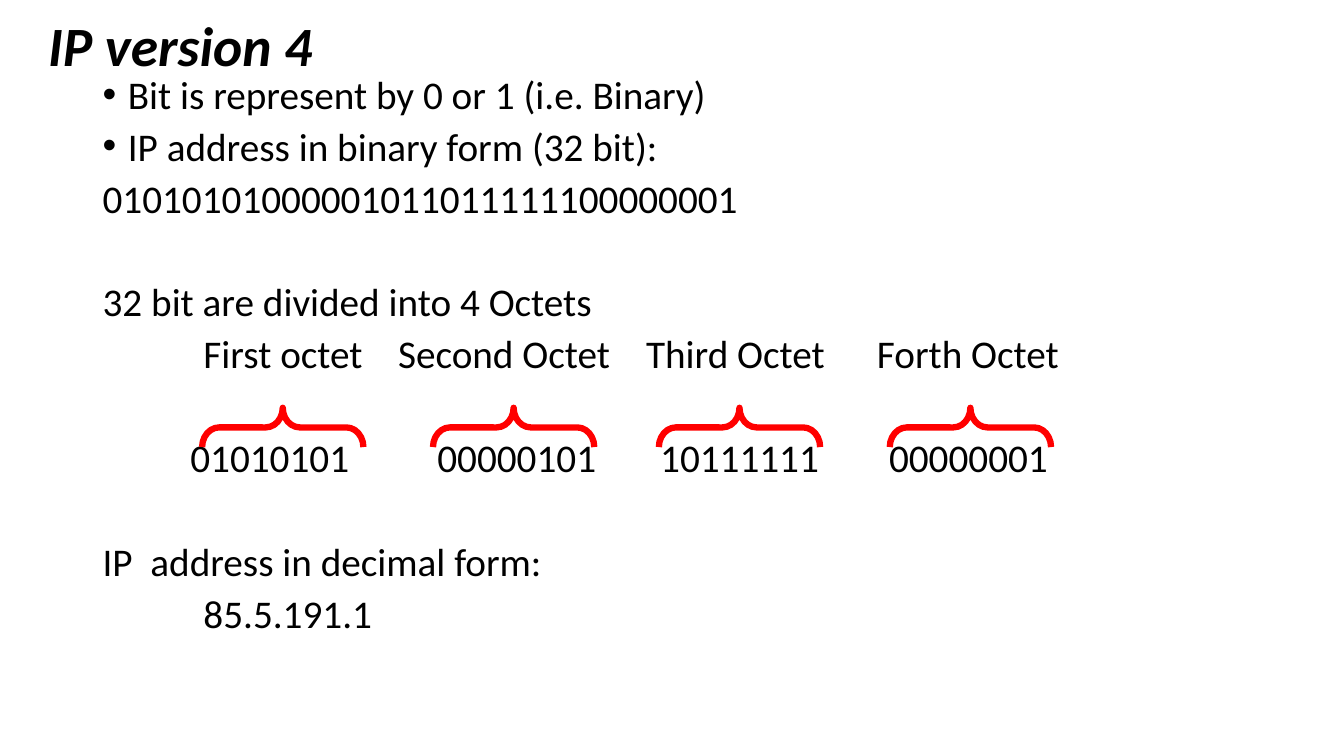
from lxml import etree
from pptx import Presentation
from pptx.dml.color import RGBColor
from pptx.enum.shapes import MSO_SHAPE
from pptx.enum.text import MSO_ANCHOR
from pptx.oxml.ns import qn
from pptx.util import Inches, Pt

BRACE = MSO_SHAPE.RIGHT_BRACE
MIDDLE = MSO_ANCHOR.MIDDLE
FONT = "Calibri"
BLACK = "000000"
RED = "FF0000"
LINE_GAP = 10
SECTION_GAP = 47.3  # one empty line more than LINE_GAP

NAME_STOPS = (1, 2.93, 5.39, 7.68)
BIT_STOPS = (0.87, 3.32, 5.53, 7.8)
OCTET_NAMES = ("First octet", "Second Octet", "Third Octet", "Forth Octet")
OCTET_BITS = ("01010101", "00000101", "10111111", "00000001")

# Text, space before, bullet, tab stops
BODY_LINES = [
    ("Bit is represent by 0 or 1 (i.e. Binary)", LINE_GAP, True, ()),
    ("IP address in binary form (32 bit):", LINE_GAP, True, ()),
    ("01010101000001011011111100000001", LINE_GAP, False, ()),
    ("32 bit are divided into 4 Octets", SECTION_GAP, False, ()),
    ("\t" + "\t".join(OCTET_NAMES), LINE_GAP, False, NAME_STOPS),
    ("\t" + "\t".join(OCTET_BITS), SECTION_GAP, False, BIT_STOPS),
    ("IP  address in decimal form:", SECTION_GAP, False, ()),
    ("\t85.5.191.1", LINE_GAP, False, NAME_STOPS[:1]),
]


def color(hex_string):
    return RGBColor.from_string(hex_string)


def add_text_frame(page, left, top, width, height):
    box = page.shapes.add_textbox(
        Inches(left), Inches(top), Inches(width), Inches(height))
    box.text_frame.word_wrap = True
    return box.text_frame


def write_para(para, text, size, spacing):
    para.add_run().text = text
    para.line_spacing = spacing
    para.font.name = FONT
    para.font.size = Pt(size)
    para.font.color.rgb = color(BLACK)


def add_bullet(para):
    properties = para._p.get_or_add_pPr()
    properties.set("marL", str(Inches(0.25)))
    properties.set("indent", str(-Inches(0.25)))
    bullet_font = etree.Element(qn("a:buFont"), typeface="Arial")
    bullet = etree.Element(qn("a:buChar"), char="•")
    defaults = properties.find(qn("a:defRPr"))
    defaults.addprevious(bullet_font)
    defaults.addprevious(bullet)


def add_tab_stops(para, stops):
    tab_list = etree.Element(qn("a:tabLst"))
    for stop in stops:
        etree.SubElement(tab_list, qn("a:tab"), pos=str(Inches(stop)), algn="l")
    para._p.get_or_add_pPr().find(qn("a:defRPr")).addprevious(tab_list)


def add_title(page, left, top, width, height):
    frame = add_text_frame(page, left, top, width, height)
    frame.vertical_anchor = MIDDLE
    para = frame.paragraphs[0]
    write_para(para, "IP version 4", 39.6, 0.9)
    para.font.bold = True
    para.font.italic = True


def add_body(page, left, top, width, height):
    frame = add_text_frame(page, left, top, width, height)
    for index, (text, gap, bulleted, stops) in enumerate(BODY_LINES):
        para = frame.add_paragraph() if index else frame.paragraphs[0]
        write_para(para, text, 28, 0.8)
        para.space_before = Pt(gap)
        if bulleted:
            add_bullet(para)
        if stops:
            add_tab_stops(para, stops)


def add_octet_braces(page, left, top, offsets):
    # Each brace is turned so that it opens downwards over its octet
    for offset in offsets:
        brace = page.shapes.add_shape(
            BRACE, Inches(left + offset), Inches(top), Inches(0.39), Inches(1.6))
        brace.rotation = 270
        brace.adjustments[0] = 0.435
        brace.adjustments[1] = 0.5
        brace.shadow.inherit = False
        brace.fill.background()
        brace.line.color.rgb = color(RED)
        brace.line.width = Pt(4.5)


def main():
    deck = Presentation()
    deck.slide_width = Inches(13.33)
    deck.slide_height = Inches(7.5)
    page = deck.slides.add_slide(deck.slide_layouts[6])
    add_title(page, 0.38, 0.23, 11.5, 0.51)
    add_body(page, 0.92, 0.74, 11.5, 6.01)
    add_octet_braces(page, 2.61, 3.44, (0, 2.29, 4.53, 6.82))
    deck.save("out.pptx")


if __name__ == "__main__":
    main()
